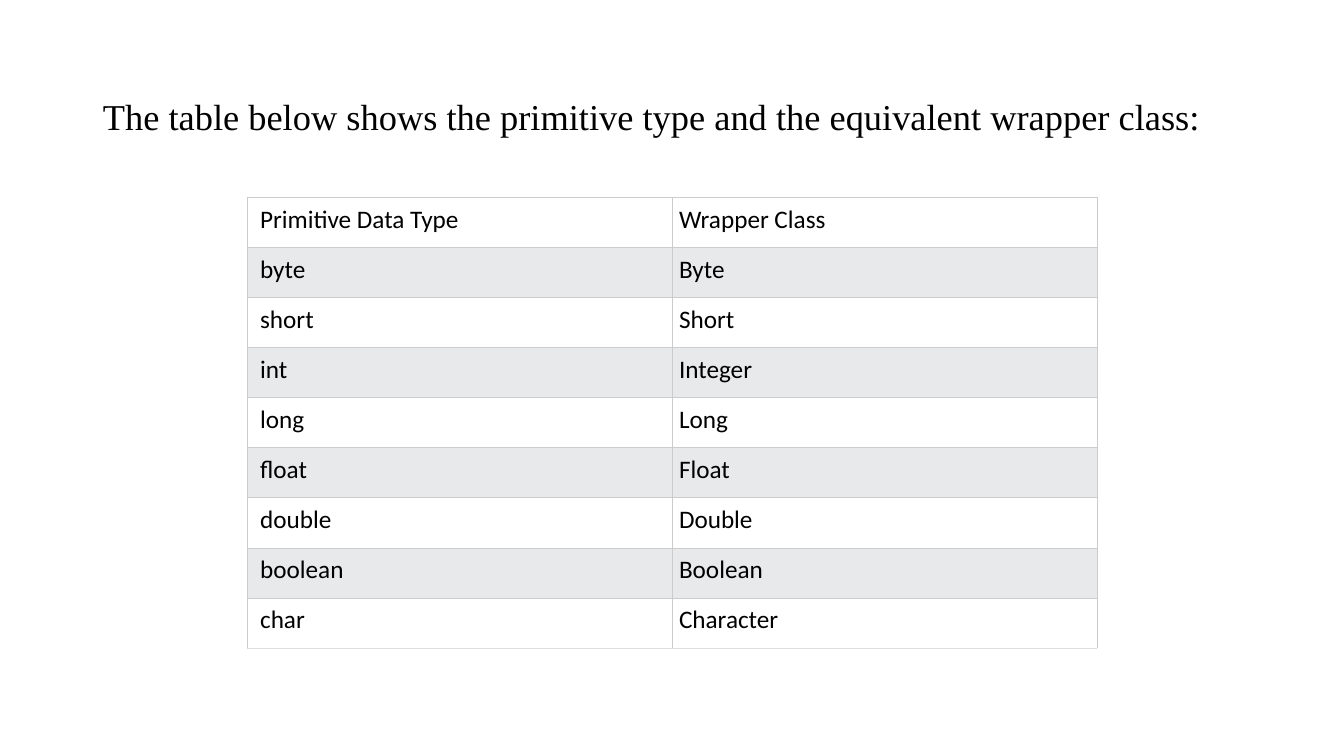
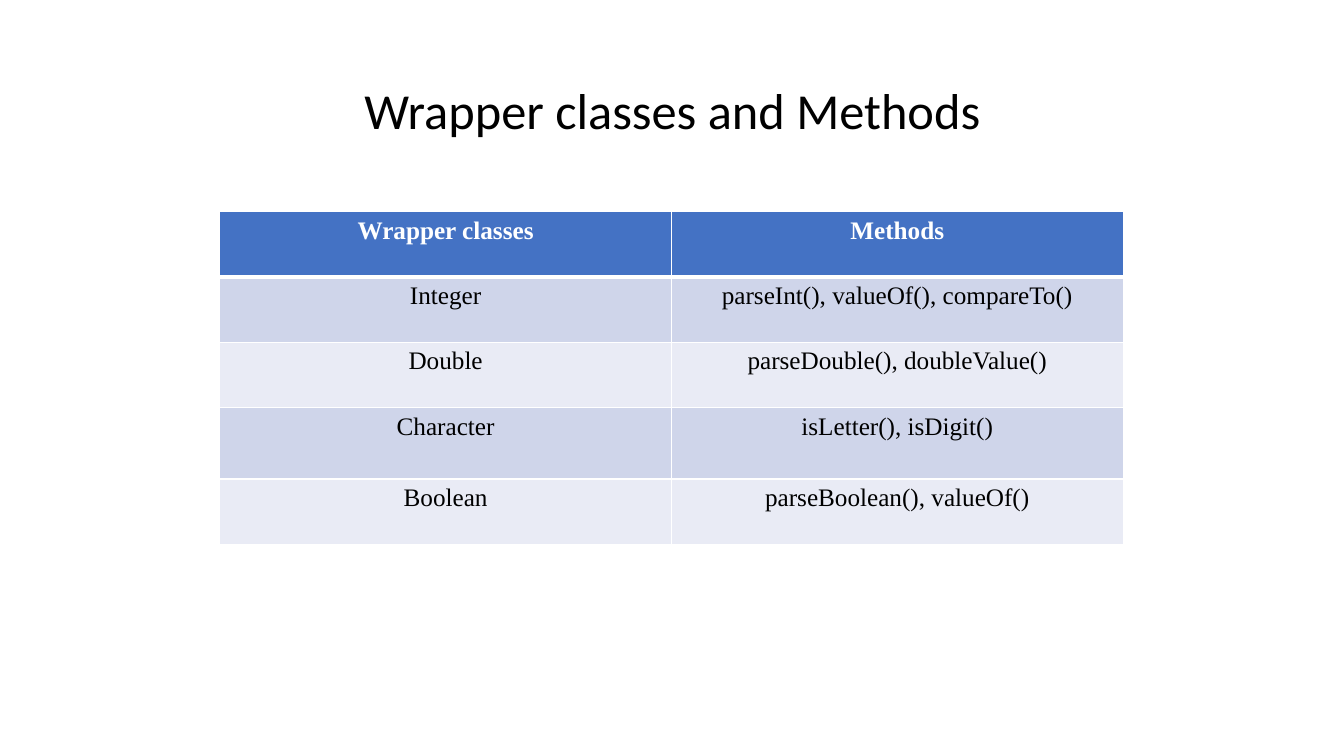
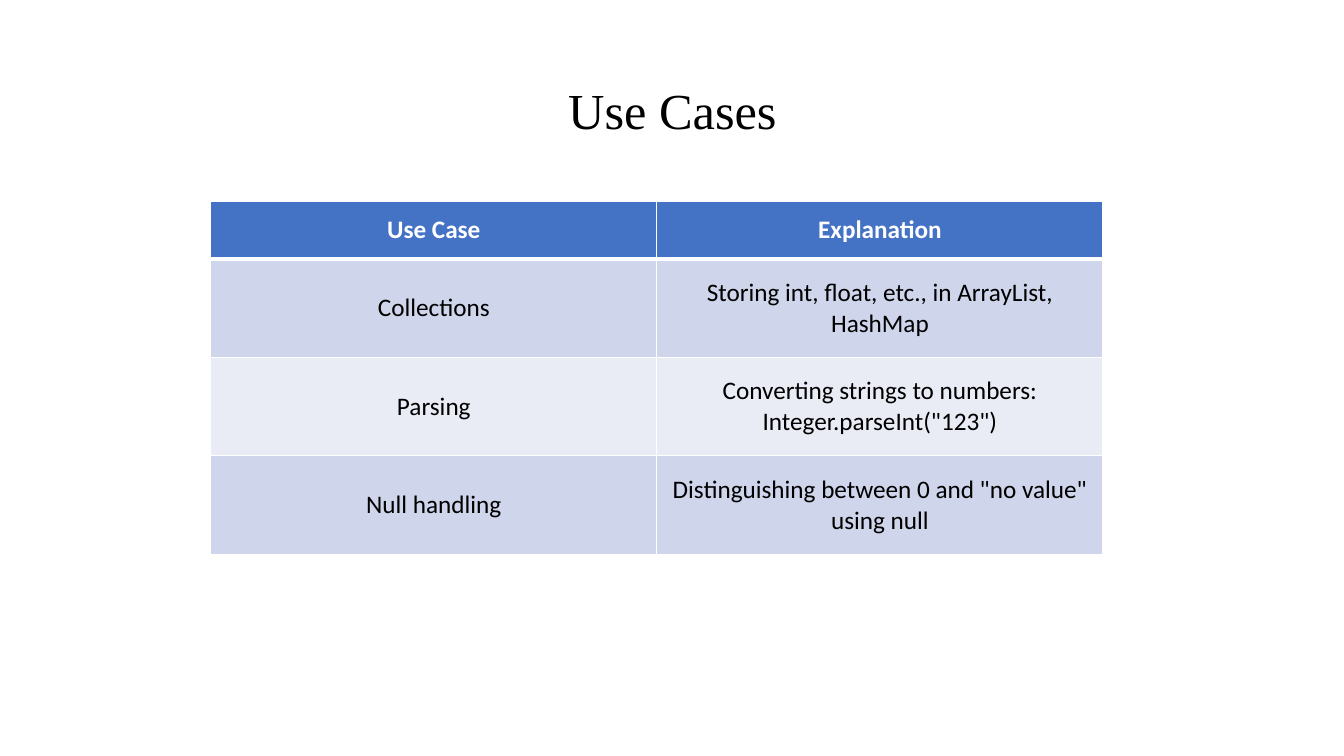
from lxml.etree import SubElement as Sub
from pptx import Presentation
from pptx.dml.color import RGBColor as RGB
from pptx.enum.text import MSO_ANCHOR as Anchor, MSO_AUTO_SIZE as Auto, PP_ALIGN as Align
from pptx.oxml.ns import qn
from pptx.util import Emu, Pt

HUES = {
    "ink": "000000", "white": "FFFFFF", "head": "4472C4",
    "dark": "CFD5EA", "light": "E9EBF5", "gray": "E7E9EB",
    "rule": "CCCCCC", "foot": "DDDDDD",
}
SANS, SERIF = "Calibri", "Times New Roman"
SCALE = 9144

PLAIN = {
    "head": "white", "bands": ("gray", "white"), "ink": "ink", "bold": False,
    "rule": "rule", "foot": "foot", "thin": 0.6, "thick": 0.6,
    "align": Align.LEFT, "left": (13, 7), "pad": 7,
}
BLUE = {
    "head": "head", "bands": ("dark", "light"), "ink": "white", "bold": True,
    "rule": "white", "foot": "white", "thin": 1, "thick": 3,
    "align": Align.CENTER, "left": (10, 10), "pad": 5,
}

TYPES = [
    ("Primitive Data Type", "Wrapper Class"),
    ("byte", "Byte"),
    ("short", "Short"),
    ("int", "Integer"),
    ("long", "Long"),
    ("float", "Float"),
    ("double", "Double"),
    ("boolean", "Boolean"),
    ("char", "Character"),
]
CALLS = [
    ("Wrapper classes", "Methods"),
    ("Integer", "parseInt(), valueOf(), compareTo()"),
    ("Double", "parseDouble(), doubleValue()"),
    ("Character", "isLetter(), isDigit()"),
    ("Boolean", "parseBoolean(), valueOf()"),
]
CASES = [
    ("Use Case", "Explanation"),
    ("Collections", "Storing int, float, etc., in ArrayList, HashMap"),
    ("Parsing", 'Converting strings to numbers: Integer.parseInt("123")'),
    ("Null handling", 'Distinguishing between 0 and "no value" using null'),
]


def px(num):
    """Turn px into EMU."""
    return Emu(round(num * SCALE))


def put(obj, **vals):
    """Set each given attribute on an object."""
    for key, val in vals.items():
        setattr(obj, key, val)


class Deck:
    """Hold the shared style and the current slide."""

    def __init__(self):
        """Open an empty wide deck."""
        self.prs = Presentation()
        put(self.prs, slide_width=px(1333), slide_height=px(750))
        self.slide = None

    def hue(self, name):
        """Look up a colour by name."""
        return RGB.from_string(HUES[name])

    def label(self, frame, text, face, size, ink="ink", bold=False, **para):
        """Fill a frame with one formatted paragraph."""
        frame.text = text
        line = frame.paragraphs[0]
        put(line, **para)
        font = line.runs[0].font
        put(font, name=face, size=Pt(size), bold=bold)
        font.color.rgb = self.hue(ink)

    def title(self, text, face=SANS, size=36, top=40, high=145, align=Align.CENTER):
        """Start a slide and set its title."""
        self.slide = self.prs.slides.add_slide(self.prs.slide_layouts[5])
        box = self.slide.shapes.title
        put(box, left=px(92), top=px(top), width=px(1150), height=px(high))
        put(box.text_frame, auto_size=Auto.NONE, word_wrap=True,
            vertical_anchor=Anchor.MIDDLE)
        self.label(box.text_frame, text, face, size, alignment=align, line_spacing=0.9)

    def edge(self, cell, side, hue, width):
        """Draw one border of a cell."""
        line = Sub(cell._tc.get_or_add_tcPr(), qn(f"a:ln{side}"), w=str(int(Pt(width))))
        Sub(Sub(line, qn("a:solidFill")), qn("a:srgbClr"), val=HUES[hue])

    def cell(self, cell, text, face, look, row, col, last, anchor):
        """Style and fill one table cell."""
        head = row == 0
        low = look["foot"] if last else look["rule"]
        thin, thick, pad = look["thin"], look["thick"], px(look["pad"])
        self.edge(cell, "L", look["rule"], thin)
        self.edge(cell, "R", look["rule"], thin)
        self.edge(cell, "T", look["rule"], thick if row == 1 else thin)
        self.edge(cell, "B", low, thick if head else thin)
        cell.fill.solid()
        fill = look["head"] if head else look["bands"][(row - 1) % 2]
        cell.fill.fore_color.rgb = self.hue(fill)
        side = look["left"]
        put(cell, vertical_anchor=anchor, margin_left=px(side[col]),
            margin_right=px(side[-1]), margin_top=pad, margin_bottom=pad)
        self.label(cell.text_frame, text, face, 18, look["ink"] if head else "ink",
                   look["bold"] and head, alignment=look["align"])

    def table(self, data, box, face, look, parts=None, anchor=Anchor.TOP):
        """Add a table whose rows share the height by parts."""
        parts = parts or [1] * len(data)
        grid = self.slide.shapes.add_table(len(data), len(data[0]), *map(px, box)).table
        put(grid, first_row=False, horz_banding=False)
        for col in grid.columns:
            col.width = px(box[2] / len(data[0]))
        for row, (words, part) in enumerate(zip(data, parts)):
            grid.rows[row].height = px(box[3] * part / sum(parts))
            for col, text in enumerate(words):
                self.cell(grid.cell(row, col), text, face, look, row, col,
                          row == len(data) - 1, anchor)


def main():
    """Build and save the deck."""
    deck = Deck()
    deck.title("The table below shows the primitive type and the equivalent wrapper class:",
               SERIF, 26, 79, 78, Align.LEFT)
    deck.table(TYPES, (245, 196, 843, 447), SANS, PLAIN)
    deck.title("Wrapper classes and Methods")
    deck.table(CALLS, (218, 210, 896, 330), SERIF, BLUE, (65, 65, 65, 71, 65))
    deck.title("Use Cases", SERIF)
    deck.table(CASES, (209, 200, 885, 350), SANS, BLUE, (57, 98, 98, 98), Anchor.MIDDLE)
    deck.prs.save("out.pptx")


if __name__ == "__main__":
    main()
